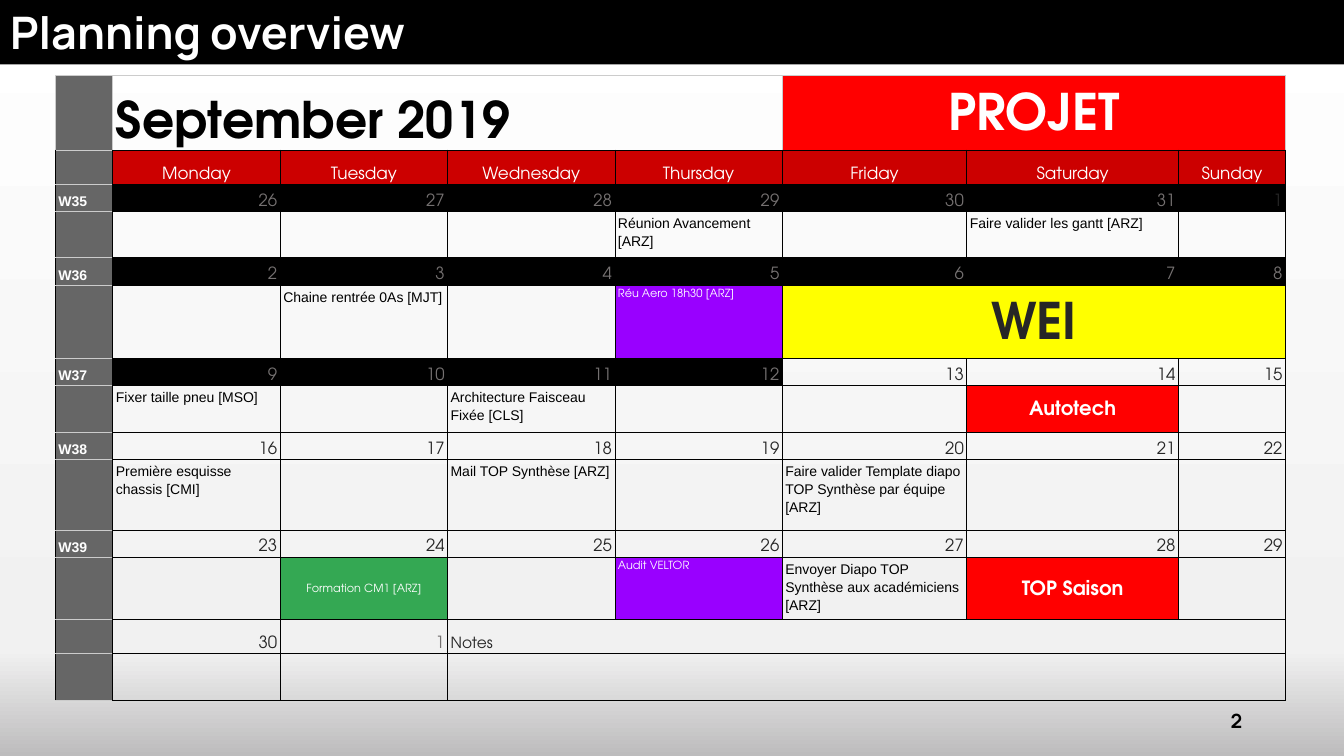
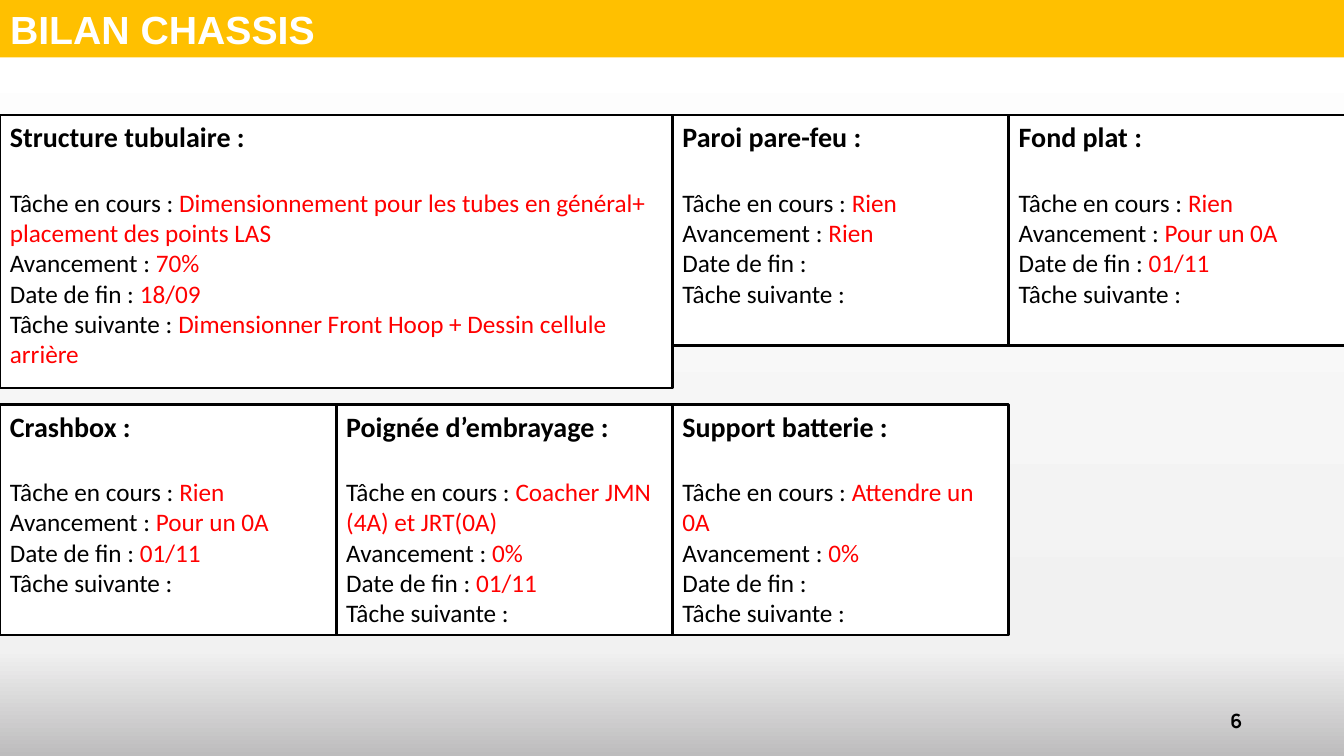
from copy import deepcopy

from lxml import etree
from pptx import Presentation
from pptx.dml.color import RGBColor
from pptx.enum.shapes import MSO_SHAPE
from pptx.enum.text import MSO_ANCHOR, MSO_AUTO_SIZE, PP_ALIGN
from pptx.oxml.ns import qn
from pptx.util import Inches, Pt

LEFT, CENTER, RIGHT = PP_ALIGN.LEFT, PP_ALIGN.CENTER, PP_ALIGN.RIGHT
TOP, MIDDLE, BOTTOM = MSO_ANCHOR.TOP, MSO_ANCHOR.MIDDLE, MSO_ANCHOR.BOTTOM
RECTANGLE, NO_AUTOFIT = MSO_SHAPE.RECTANGLE, MSO_AUTO_SIZE.NONE

BLACK = RGBColor(0x00, 0x00, 0x00)
WHITE = RGBColor(0xFF, 0xFF, 0xFF)
DARK = RGBColor(0x26, 0x26, 0x26)
MUTED = RGBColor(0x75, 0x71, 0x71)
SIDE_GREY = RGBColor(0x66, 0x66, 0x66)
LINE_GREY = RGBColor(0xCC, 0xCC, 0xCC)
RED = RGBColor(0xFF, 0x00, 0x00)
HEADER_RED = RGBColor(0xCC, 0x00, 0x00)
PURPLE = RGBColor(0x99, 0x00, 0xFF)
GREEN = RGBColor(0x34, 0xA8, 0x53)
YELLOW = RGBColor(0xFF, 0xFF, 0x00)
AMBER = RGBColor(0xFF, 0xC0, 0x00)
BACKGROUND = [(0, WHITE), (0.86, RGBColor(0xF1, 0xF1, 0xF1)),
              (1, RGBColor(0xBD, 0xBC, 0xBD))]

ADVENTOR, ARIAL, CALIBRI, MANROPE = "TeX Gyre Adventor", "Arial", "Calibri", "Manrope"


def text_format(size, name, color, bold=False):
    return {"size": Pt(size), "name": name, "color": color, "bold": bold}


# Calendar cell styles: text format, alignment, anchor, fill
STYLES = {
    "month": (text_format(36, ADVENTOR, BLACK, True), LEFT, BOTTOM, None),
    "project": (text_format(36, ADVENTOR, WHITE, True), CENTER, MIDDLE, RED),
    "weekday": (text_format(12, ADVENTOR, WHITE), CENTER, BOTTOM, HEADER_RED),
    "side": (text_format(10, ARIAL, WHITE, True), LEFT, BOTTOM, SIDE_GREY),
    "past": (text_format(12, ADVENTOR, MUTED), RIGHT, BOTTOM, BLACK),
    "past_first": (text_format(12, ADVENTOR, DARK), RIGHT, BOTTOM, BLACK),
    "date": (text_format(12, ADVENTOR, DARK), RIGHT, BOTTOM, None),
    "next_month": (text_format(12, ADVENTOR, MUTED), RIGHT, BOTTOM, None),
    "notes": (text_format(11, ADVENTOR, DARK), LEFT, BOTTOM, None),
    "task": (text_format(10, ARIAL, BLACK), LEFT, TOP, None),
    "meeting": (text_format(8, ADVENTOR, WHITE), LEFT, TOP, PURPLE),
    "training": (text_format(8, ADVENTOR, WHITE), CENTER, MIDDLE, GREEN),
    "milestone": (text_format(14, ADVENTOR, WHITE, True), CENTER, MIDDLE, RED),
    "weekend": (text_format(36, ADVENTOR, DARK, True), CENTER, MIDDLE, YELLOW),
}

# Calendar content
WEEKDAYS = ["Monday", "Tuesday", "Wednesday", "Thursday", "Friday", "Saturday", "Sunday"]
FIRST_WEEK, FIRST_MONDAY, AUGUST_DAYS = 35, 26, 31
# Per week: number of past days, events by column
WEEKS = [
    (7, {4: ("Réunion Avancement [ARZ]", "task"),
         6: ("Faire valider les gantt [ARZ]", "task")}),
    (7, {2: ("Chaine rentrée 0As [MJT]", "task"),
         4: ("Réu Aero 18h30 [ARZ]", "meeting"),
         5: ("WEI", "weekend")}),
    (4, {1: ("Fixer taille pneu [MSO]", "task"),
         3: ("Architecture Faisceau Fixée [CLS]", "task"),
         6: ("Autotech", "milestone")}),
    (0, {1: ("Première esquisse chassis [CMI]", "task"),
         3: ("Mail TOP Synthèse [ARZ]", "task"),
         5: ("Faire valider Template diapo TOP Synthèse par équipe [ARZ]", "task")}),
    (0, {2: ("Formation CM1 [ARZ]", "training"),
         4: ("Audit VELTOR", "meeting"),
         5: ("Envoyer Diapo TOP Synthèse aux académiciens [ARZ]", "task"),
         6: ("TOP Saison", "milestone")}),
]
COLUMN_WIDTHS = [0.57] + [1.66] * 4 + [1.83, 2.1, 1.06]
DATE_HEIGHT, EVENT_HEIGHTS = 0.27, [0.46, 0.73, 0.46, 0.7, 0.62]
ROW_HEIGHTS = ([0.74, 0.34] + [h for event in EVENT_HEIGHTS for h in (DATE_HEIGHT, event)]
               + [0.34, 0.46])
# Row, first column, last column
MERGES = [(0, 1, 4), (0, 5, 7), (5, 5, 7), (12, 3, 7), (13, 3, 7)]

# Chassis report content: heading, values for the fields, left, top, width, height
FIELDS = ["Tâche en cours :", "Avancement :", "Date de fin :", "Tâche suivante :"]
COLUMN, UPPER, LOWER, CARD_HEIGHT = 13.34 / 4, 1.14, 4.01, 2.29
CARDS = [
    ("Structure tubulaire :",
     ["Dimensionnement pour les tubes en général+ placement des points LAS", "70%",
      "18/09", "Dimensionner Front Hoop + Dessin cellule arrière"], 0, UPPER, 2, 2.71),
    ("Paroi pare-feu :", ["Rien", "Rien", "", ""], 2, UPPER, 1, CARD_HEIGHT),
    ("Fond plat :", ["Rien", "Pour un 0A", "01/11", ""], 3, UPPER, 1, CARD_HEIGHT),
    ("Crashbox :", ["Rien", "Pour un 0A", "01/11", ""], 0, LOWER, 1, CARD_HEIGHT),
    ("Poignée d’embrayage :", ["Coacher JMN (4A) et JRT(0A)", "0%", "01/11", ""],
     1, LOWER, 1, CARD_HEIGHT),
    ("Support batterie :", ["Attendre un 0A", "0%", "", ""], 2, LOWER, 1, CARD_HEIGHT),
]


def add_run(paragraph, text, formats):
    run = paragraph.add_run()
    run.text = text
    for key, value in formats.items():
        if key == "color":
            run.font.color.rgb = value
        else:
            setattr(run.font, key, value)


def set_background(master):
    fill = master.background.fill
    fill.gradient()
    fill.gradient_angle = 270
    last = fill.gradient_stops[1]._gs
    last.addprevious(deepcopy(last))
    for stop, (position, color) in zip(fill.gradient_stops, BACKGROUND):
        stop.position = position
        stop.color.rgb = color


def add_titled_slide(prs, title, formats, band_color, band_height, number):
    slide = prs.slides.add_slide(prs.slide_layouts[5])
    # Title band
    band = slide.shapes.title
    band.left, band.top = Inches(0), Inches(0)
    band.width, band.height = prs.slide_width, Inches(band_height)
    band.fill.solid()
    band.fill.fore_color.rgb = band_color
    frame = band.text_frame
    frame.auto_size, frame.vertical_anchor = NO_AUTOFIT, TOP
    frame.paragraphs[0].alignment = LEFT
    add_run(frame.paragraphs[0], title, formats)
    # Page number
    footer = slide.shapes.add_textbox(Inches(9.42), Inches(6.95), Inches(3), Inches(0.4))
    frame = footer.text_frame
    frame.word_wrap, frame.vertical_anchor = True, MIDDLE
    frame.paragraphs[0].alignment = RIGHT
    add_run(frame.paragraphs[0], number, text_format(14, MANROPE, BLACK, True))
    return slide


def set_borders(cell, colors):
    properties = cell._tc.get_or_add_tcPr()
    for index, (side, color) in enumerate(zip("LRTB", colors)):
        line = etree.Element(qn(f"a:ln{side}"), w=str(Pt(0.75)))
        solid = etree.SubElement(line, qn("a:solidFill"))
        etree.SubElement(solid, qn("a:srgbClr"), val=str(color))
        properties.insert(index, line)


def calendar_entries():
    """Return {(row, column): (text, style)} for every cell with text."""
    entries = {(0, 1): ("September 2019", "month"), (0, 5): ("PROJET", "project")}
    for column, weekday in enumerate(WEEKDAYS, 1):
        entries[1, column] = (weekday, "weekday")
    for week, (past_days, events) in enumerate(WEEKS):
        row = 2 + 2 * week
        entries[row, 0] = (f"W{FIRST_WEEK + week}", "side")
        for column in range(1, 8):
            day = FIRST_MONDAY + 7 * week + column - 1
            style = "past" if column <= past_days else "date"
            if day == AUGUST_DAYS + 1:
                style = "past_first"
            entries[row, column] = (str(day - AUGUST_DAYS if day > AUGUST_DAYS else day), style)
        for column, event in events.items():
            entries[row + 1, column] = event
    entries.update({(12, 1): ("30", "date"), (12, 2): ("1", "next_month"),
                    (12, 3): ("Notes", "notes")})
    return entries


def border_colors(row, column):
    if row == 0:
        return [LINE_GREY] * 3 + [BLACK if column else LINE_GREY]
    return [BLACK, BLACK, LINE_GREY, LINE_GREY] if column == 0 else [BLACK] * 4


def add_calendar(slide):
    table = slide.shapes.add_table(
        len(ROW_HEIGHTS), len(COLUMN_WIDTHS), Inches(0.55), Inches(0.75),
        Inches(sum(COLUMN_WIDTHS)), Inches(sum(ROW_HEIGHTS))).table
    table.first_row = table.horz_banding = False
    for column, width in zip(table.columns, COLUMN_WIDTHS):
        column.width = Inches(width)
    for row, height in zip(table.rows, ROW_HEIGHTS):
        row.height = Inches(height)
    for row, first, last in MERGES:
        table.cell(row, first).merge(table.cell(row, last))

    entries = calendar_entries()
    for row in range(len(ROW_HEIGHTS)):
        for column in range(len(COLUMN_WIDTHS)):
            cell = table.cell(row, column)
            cell.margin_left = cell.margin_right = Inches(0.03)
            cell.margin_top = cell.margin_bottom = Inches(0.02)
            text, style = entries.get((row, column), ("", "task" if column else "side"))
            formats, alignment, anchor, fill = STYLES[style]
            if fill is None:
                cell.fill.background()
            else:
                cell.fill.solid()
                cell.fill.fore_color.rgb = fill
            set_borders(cell, border_colors(row, column))
            if text:
                cell.vertical_anchor = anchor
                paragraph = cell.text_frame.paragraphs[0]
                paragraph.alignment, paragraph.line_spacing = alignment, 1.15
                add_run(paragraph, text, formats)


def add_card(slide, heading, values, column, top, span, height):
    card = slide.shapes.add_shape(RECTANGLE, Inches(column * COLUMN), Inches(top),
                                  Inches(span * COLUMN), Inches(height))
    card.shadow.inherit = False
    card.fill.solid()
    card.fill.fore_color.rgb = WHITE
    card.line.color.rgb, card.line.width = BLACK, Pt(2)
    frame = card.text_frame
    frame.word_wrap, frame.vertical_anchor = True, TOP
    frame.paragraphs[0].alignment = LEFT
    add_run(frame.paragraphs[0], heading, text_format(20, CALIBRI, BLACK, True))
    for index, (field, value) in enumerate(zip(FIELDS, values)):
        paragraph = frame.add_paragraph()
        paragraph.alignment = LEFT
        if index == 0:
            paragraph.space_before = Pt(24)
        add_run(paragraph, f"{field} " if value else field, text_format(18, CALIBRI, BLACK))
        if value:
            add_run(paragraph, value, text_format(18, CALIBRI, RED))


def main():
    prs = Presentation()
    prs.slide_width, prs.slide_height = Inches(13.33), Inches(7.5)
    set_background(prs.slide_master)

    # Planning calendar
    planning = add_titled_slide(prs, "Planning overview",
                                text_format(32, MANROPE, WHITE, True), BLACK, 0.64, "2")
    add_calendar(planning)

    # Chassis report
    chassis = add_titled_slide(prs, "BILAN CHASSIS",
                               text_format(28, ARIAL, WHITE, True), AMBER, 0.57, "6")
    for card in CARDS:
        add_card(chassis, *card)

    prs.save("out.pptx")


if __name__ == "__main__":
    main()
